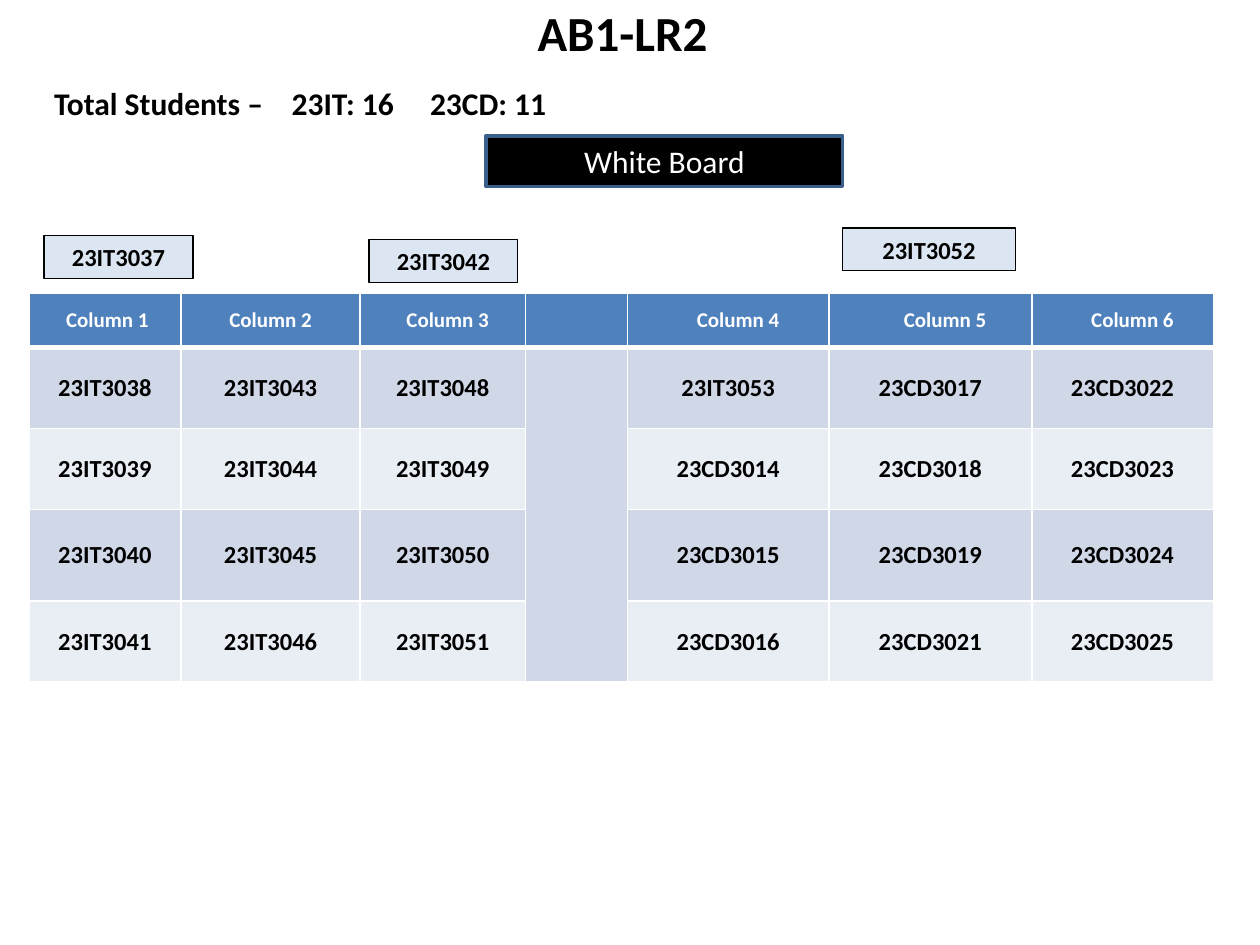
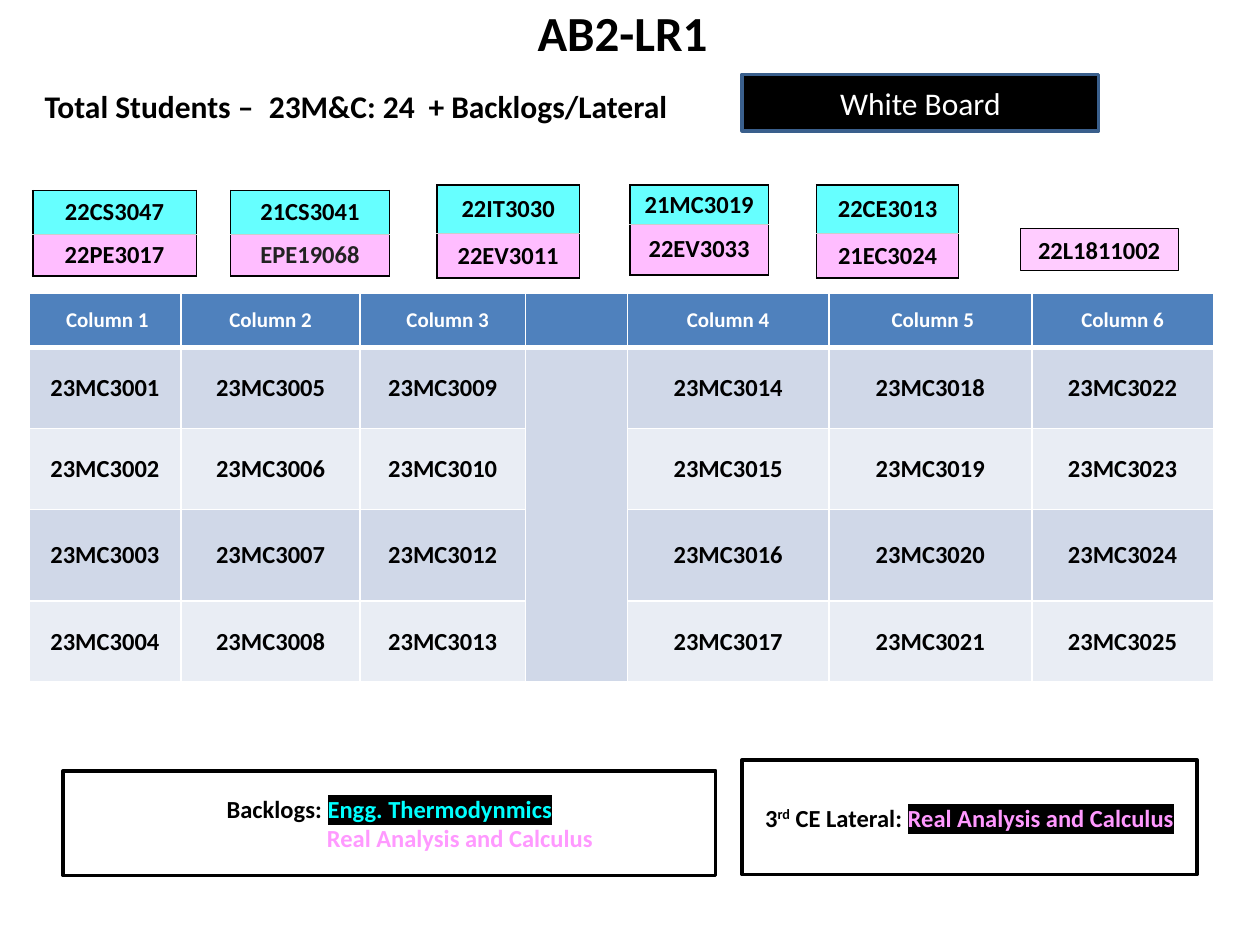
import itertools

import pptx
import pptx.dml.color
import pptx.enum.shapes
import pptx.enum.text
import pptx.oxml
import pptx.oxml.ns
import pptx.util
from pptx.util import Cm

FONT = "Calibri"
BLACK, WHITE = "000000", "FFFFFF"
BLUE, BOARD_EDGE = "4F81BD", "3A5F8C"
BANDS = ("D0D8E8", "E9EDF4")
PALE_BLUE, PALE_PINK = "DCE6F2", "FFCCFF"
CYAN, PINK, GREY = "66FFFF", "FFBDFF", "CCCCCC"
CYAN_TEXT, PINK_TEXT = "00FFFF", "FF99FF"

# Boxes are (left, top, width, height) in centimetres
TITLE_BOX = (0, -0.08, 25.1, 1.45)
SEATS_AT = (0.58, 5.92)
SEAT_COLS = (3.07, 3.61, 3.33, 2.06, 4.06, 4.09, 3.66)
SEAT_ROWS = (1.09, 1.63, 1.63, 1.85, 1.63)
AISLE = 3
CENTER = pptx.enum.text.PP_ALIGN.CENTER
MIDDLE = pptx.enum.text.MSO_ANCHOR.MIDDLE


def rgb(hex_color):
    return pptx.dml.color.RGBColor.from_string(hex_color)


def element(parent, tag, **attributes):
    el = parent.makeelement(pptx.oxml.ns.qn(tag), attributes)
    parent.append(el)
    return el


def style(r, size, color=BLACK, bold=True):
    r.font.name = FONT
    r.font.size = pptx.util.Pt(size)
    r.font.bold = bold
    r.font.color.rgb = rgb(color)


def highlight(r, color):
    rPr = r._r.get_or_add_rPr()
    mark = element(rPr, "a:highlight")
    element(mark, "a:srgbClr", val=color)
    rPr.find(pptx.oxml.ns.qn("a:solidFill")).addnext(mark)


def add_run(p, text, size=14, color=BLACK, marker=None):
    r = p.add_run()
    r.text = text
    style(r, size, color)
    if marker:
        highlight(r, marker)
    return r


def add_text(slide, box, text, size):
    sp = slide.shapes.add_textbox(*map(Cm, box))
    sp.text_frame.word_wrap = True
    p = sp.text_frame.paragraphs[0]
    p.text = text
    style(p.runs[0], size)
    return p


def add_box(slide, box, fill, line, width, text="", size=14, color=BLACK, bold=True):
    sp = slide.shapes.add_shape(pptx.enum.shapes.MSO_SHAPE.RECTANGLE, *map(Cm, box))
    sp.shadow.inherit = False
    sp.fill.solid()
    sp.fill.fore_color.rgb = rgb(fill)
    sp.line.color.rgb = rgb(line)
    sp.line.width = pptx.util.Pt(width)
    tf = sp.text_frame
    tf.word_wrap = True
    tf.vertical_anchor = MIDDLE
    p = tf.paragraphs[0]
    p.alignment = CENTER
    if text:
        p.text = text
        style(p.runs[0], size, color, bold)
    return p


# Tables
def set_borders(cell, left, right, top, bottom):
    tcPr = cell._tc.get_or_add_tcPr()
    for side, (color, width) in zip("LRTB", (left, right, top, bottom)):
        ln = element(tcPr, f"a:ln{side}", w=str(pptx.util.Pt(width)))
        element(element(ln, "a:solidFill"), "a:srgbClr", val=color)


def fill_cell(cell, text, fill, borders, size=14, color=BLACK, indent=0.08):
    set_borders(cell, *borders)
    cell.fill.solid()
    cell.fill.fore_color.rgb = rgb(fill)
    cell.vertical_anchor = MIDDLE
    cell.margin_left, cell.margin_right = Cm(indent), Cm(0.08)
    cell.margin_top = cell.margin_bottom = 0
    p = cell.text_frame.paragraphs[0]
    p.text = text
    p.alignment = CENTER
    for r in p.runs:
        style(r, size, color)


def add_grid(slide, at, cols, rows):
    box = (*at, sum(cols), sum(rows))
    table = slide.shapes.add_table(len(rows), len(cols), *map(Cm, box)).table
    for column, width in zip(table.columns, cols):
        column.width = Cm(width)
    for row, height in zip(table.rows, rows):
        row.height = Cm(height)
    return table


def add_seats(slide, at, seats, heading_indents):
    """Six columns of four seats, filled column by column around the aisle."""
    table = add_grid(slide, at, SEAT_COLS, SEAT_ROWS)
    thin, thick = (WHITE, 1), (WHITE, 3)
    table.cell(1, AISLE).merge(table.cell(4, AISLE))
    fill_cell(table.cell(0, AISLE), "", BLUE, (thin, thin, thin, thick))
    fill_cell(table.cell(1, AISLE), "", BANDS[0], (thin, thin, thick, thin))
    for i, indent in enumerate(heading_indents):
        col = i + (i >= AISLE)
        fill_cell(table.cell(0, col), f"Column {i + 1}", BLUE,
                  (thin, thin, thin, thick), 12, WHITE, 0.08 + indent)
        for row, seat in enumerate(seats[4 * i:4 * i + 4], 1):
            top = thick if row == 1 else thin
            fill_cell(table.cell(row, col), seat, BANDS[(row - 1) % 2],
                      (thin, thin, top, thin))


def add_pair(slide, at, width, heights, upper, lower, left_line=0.75, lower_color=BLACK):
    """Two front-row seats, one above the other."""
    table = add_grid(slide, at, (width,), heights)
    left, edge, inner = (BLACK, left_line), (BLACK, 0.75), (GREY, 0.75)
    fill_cell(table.cell(0, 0), upper, CYAN, (left, edge, edge, inner))
    fill_cell(table.cell(1, 0), lower, PINK, (left, edge, inner, (BLACK, 1.5)),
              color=lower_color)


# Parts shared by both rooms
def add_title(slide, box, room):
    add_text(slide, box, room, 28).alignment = CENTER


def add_totals(slide, box, parts, stops):
    p = add_text(slide, box, "\t".join(parts), 18)
    tabs = element(p._p.get_or_add_pPr(), "a:tabLst")
    for stop in stops:
        element(tabs, "a:tab", pos=str(Cm(stop)), algn="l")


def add_board(slide, box):
    add_box(slide, box, BLACK, BOARD_EDGE, 2, "White Board", 18, WHITE, False)


def add_backlog_key(slide, box):
    p = add_box(slide, box, WHITE, BLACK, 2)
    add_run(p, "Backlogs: ")
    add_run(p, "Engg. Thermodynmics", color=CYAN_TEXT, marker=BLACK)
    p2 = p._parent.add_paragraph()
    p2.alignment = pptx.enum.text.PP_ALIGN.LEFT
    p2._p.get_or_add_pPr().set("marL", str(Cm(5.07)))
    add_run(p2, "Real Analysis and Calculus", color=PINK_TEXT)


def add_lateral_key(slide, box):
    p = add_box(slide, box, WHITE, BLACK, 2)
    add_run(p, "3")
    add_run(p, "rd")._r.get_or_add_rPr().set("baseline", "30000")
    add_run(p, " CE Lateral: ")
    add_run(p, "Real Analysis and Calculus", color=PINK_TEXT, marker=BLACK)


def roll_numbers(prefix, first, last, absent):
    return [f"{prefix}{n}" for n in range(first, last + 1) if n not in absent]


# Rooms
def room_ab1(slide):
    seats = itertools.chain(roll_numbers("23IT", 3038, 3053, (3042, 3047, 3052)),
                            roll_numbers("23CD", 3014, 3025, (3020,)))
    add_seats(slide, SEATS_AT, list(seats), (0.1, 0, 0.2, 0.4, 0.6, 0.4))
    add_title(slide, TITLE_BOX, "AB1-LR2")
    add_board(slide, (9.8, 2.74, 7.19, 1.02))
    add_totals(slide, (0.84, 1.57, 12.5, 1.02),
               ("Total Students –", "23IT: 16", "23CD: 11"), (4.79, 7.58))
    for left, top, width, seat in ((0.89, 4.75, 3, "23IT3037"),
                                   (7.44, 4.83, 3, "23IT3042"),
                                   (16.99, 4.6, 3.48, "23IT3052")):
        add_box(slide, (left, top, width, 0.86), PALE_BLUE, BLACK, 0.75, seat)


def room_ab2(slide):
    add_seats(slide, SEATS_AT, roll_numbers("23MC", 3001, 3025, (3011,)),
              (0.1, 0, 0.2, 0, 0.1, 0))
    add_title(slide, TITLE_BOX, "AB2-LR1")
    add_board(slide, (14.96, 1.5, 7.19, 1.14))
    add_totals(slide, (0.65, 1.63, 14, 1.02),
               ("Total Students –", "23M&C: 24", "+ Backlogs/Lateral"), (4.52, 7.74))
    add_backlog_key(slide, (1.27, 15.54, 13.16, 2.11))
    add_lateral_key(slide, (14.96, 15.32, 9.17, 2.31))
    low, high = (0.89, 0.84), (0.97, 0.91)
    add_pair(slide, (0.66, 3.84), 3.3, low, "22CS3047", "22PE3017", left_line=1.5)
    add_pair(slide, (4.65, 3.84), 3.2, low, "21CS3041", "EPE19068", lower_color="222222")
    add_pair(slide, (8.81, 3.73), 2.87, high, "22IT3030", "22EV3011")
    add_pair(slide, (12.7, 3.73), 2.79, (0.79, 1.02), "21MC3019", "22EV3033")
    add_pair(slide, (16.46, 3.73), 2.87, high, "22CE3013", "21EC3024")
    add_box(slide, (20.57, 4.6, 3.18, 0.86), PALE_PINK, BLACK, 0.5, "22L1811002")


def main():
    prs = pptx.Presentation()
    prs.slide_width, prs.slide_height = Cm(25.4), Cm(19.05)
    for build_room in (room_ab1, room_ab2):
        build_room(prs.slides.add_slide(prs.slide_layouts[6]))
    prs.save("out.pptx")


if __name__ == "__main__":
    main()
